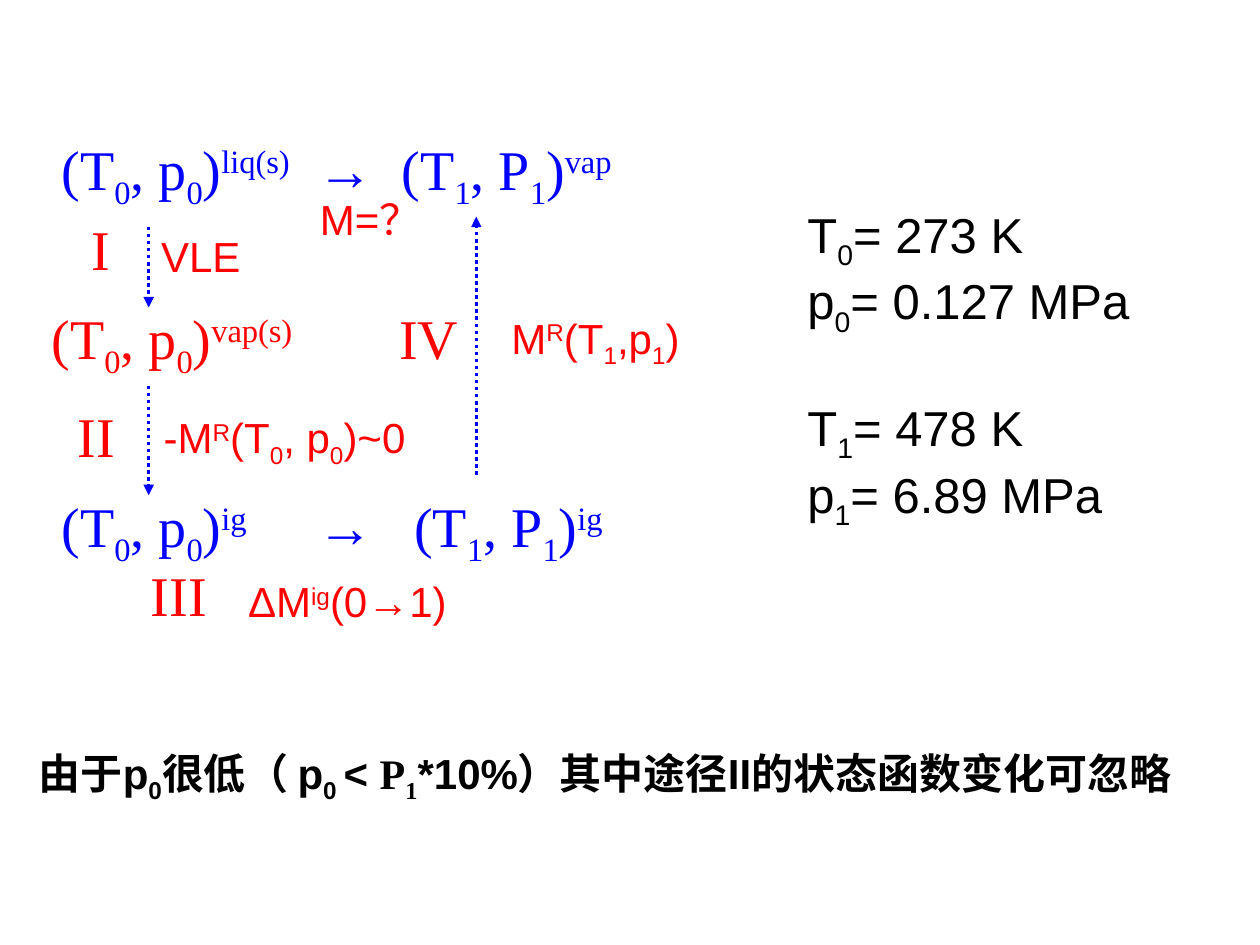
from dataclasses import dataclass

import pptx
import pptx.dml.color
import pptx.enum.dml
import pptx.enum.shapes
import pptx.enum.text
import pptx.oxml.ns
import pptx.util
from lxml import etree
from pptx.util import Inches


@dataclass(frozen=True)
class Theme:
    sans: str = "Arial"
    serif: str = "Times New Roman"
    black: str = "000000"
    blue: str = "0000FF"
    red: str = "FF0000"
    label: int = 24
    values: int = 28
    state: int = 32
    arrow_width: int = 2


THEME = Theme()
BASELINES = {"_": "-25000", "^": "30000"}


@dataclass(frozen=True)
class Label:
    lines: tuple[str, ...]
    left: float
    top: float
    width: float
    height: float
    size: int = THEME.label
    face: str = THEME.sans
    color: str = THEME.red
    bold: bool = False
    tabs: tuple[float, ...] = ()
    gaps: tuple[float, ...] = (0,)


@dataclass(frozen=True)
class Arrow:
    x: float
    start: float
    end: float


def state(text: str, left: float, top: float, width: float, color: str,
          tabs: tuple[float, ...] = ()) -> Label:
    return Label((text,), left, top, width, 0.71, THEME.state, THEME.serif,
                 color, tabs=tabs)


def numeral(text: str, left: float, top: float, width: float) -> Label:
    return Label((text,), left, top, width, 0.64, THEME.state, THEME.serif)


START = "(T|_0|, p|_0|)|"
END = "(T|_1|, P|_1|)|"

LABELS = (
    Label(("由于p|_0|很低（ p|_0 |< |@P|@_1|*10%）其中途径II的状态函数变化可忽略",),
          0.21, 5.88, 9.75, 0.56, color=THEME.black, bold=True),
    state(START + "^liq(s)|\t|@→|\t|" + END + "^vap", 0.39, 1.02, 9.06, THEME.blue, (2.03, 2.7)),
    state(START + "^vap(s)", 0.31, 2.36, 2.68, THEME.red),
    state(START + "^ig|\t|@→|\t|" + END + "^ig", 0.39, 3.85, 5.04, THEME.blue, (2.03, 2.8)),
    Label(("-M|^R|(T|_0|, p|_0|)~0",), 1.2, 3.22, 2.2, 0.56),
    Label(("M|^R|(T|_1|,p|_1|)",), 3.96, 2.43, 1.6, 0.56),
    Label(("ΔM|^ig|(0→1)",), 1.87, 4.52, 1.85, 0.5),
    Label(("VLE",), 1.18, 1.78, 0.85, 0.5),
    Label(("M=？",), 2.44, 1.49, 1.01, 0.5),
    numeral("I", 0.63, 1.65, 0.4),
    numeral("II", 0.52, 3.14, 0.55),
    numeral("III", 1.1, 4.4, 0.7),
    numeral("IV", 3.07, 2.36, 0.72),
    Label(("T|_0|= 273 K", "p|_0|= 0.127 MPa", "T|_1|= 478 K", "p|_1|= 6.89 MPa"),
          6.31, 1.57, 2.85, 2.69, THEME.values, color=THEME.black, gaps=(0, 0, 34, 0)),
)

ARROWS = (Arrow(1.18, 1.8, 2.44), Arrow(1.18, 3.06, 3.93), Arrow(3.78, 3.77, 1.72))


def add_span(para, piece: str, label: Label) -> None:
    face = label.face
    if piece.startswith("@"):
        face = THEME.sans if face == THEME.serif else THEME.serif
        piece = piece[1:]
    baseline = BASELINES.get(piece[0])
    span = para.add_run()
    span.text = piece[1:] if baseline else piece
    span.font.name = face
    span.font.size = pptx.util.Pt(label.size)
    span.font.bold = label.bold
    span.font.color.rgb = pptx.dml.color.RGBColor.from_string(label.color)
    if baseline:
        span.font._element.set("baseline", baseline)


def add_tabs(para, stops: tuple[float, ...]) -> None:
    tab_list = etree.SubElement(para._p.get_or_add_pPr(), pptx.oxml.ns.qn("a:tabLst"))
    for stop in stops:
        etree.SubElement(tab_list, pptx.oxml.ns.qn("a:tab"), pos=str(Inches(stop)), algn="l")


def draw_label(page, label: Label) -> None:
    box = page.shapes.add_textbox(Inches(label.left), Inches(label.top),
                                  Inches(label.width), Inches(label.height))
    frame = box.text_frame
    frame.word_wrap = True
    frame.auto_size = pptx.enum.text.MSO_AUTO_SIZE.SHAPE_TO_FIT_TEXT
    for index, (line, gap) in enumerate(zip(label.lines, label.gaps)):
        para = frame.add_paragraph() if index else frame.paragraphs[0]
        para.space_before = pptx.util.Pt(gap)
        if label.tabs:
            add_tabs(para, label.tabs)
        for piece in line.split("|"):
            add_span(para, piece, label)


def draw_arrow(page, arrow: Arrow) -> None:
    connector = page.shapes.add_connector(
        pptx.enum.shapes.MSO_CONNECTOR.STRAIGHT,
        Inches(arrow.x), Inches(arrow.start), Inches(arrow.x), Inches(arrow.end))
    line = connector.line
    line.color.rgb = pptx.dml.color.RGBColor.from_string(THEME.blue)
    line.width = pptx.util.Pt(THEME.arrow_width)
    line.dash_style = pptx.enum.dml.MSO_LINE.ROUND_DOT
    etree.SubElement(line._get_or_add_ln(), pptx.oxml.ns.qn("a:tailEnd"), type="triangle")
    etree.SubElement(connector._element.spPr, pptx.oxml.ns.qn("a:effectLst"))


def main() -> None:
    deck = pptx.Presentation()
    deck.slide_width = Inches(10)
    deck.slide_height = Inches(7.5)
    page = deck.slides.add_slide(deck.slide_layouts[6])
    for arrow in ARROWS:
        draw_arrow(page, arrow)
    for label in LABELS:
        draw_label(page, label)
    deck.save("out.pptx")


if __name__ == "__main__":
    main()
